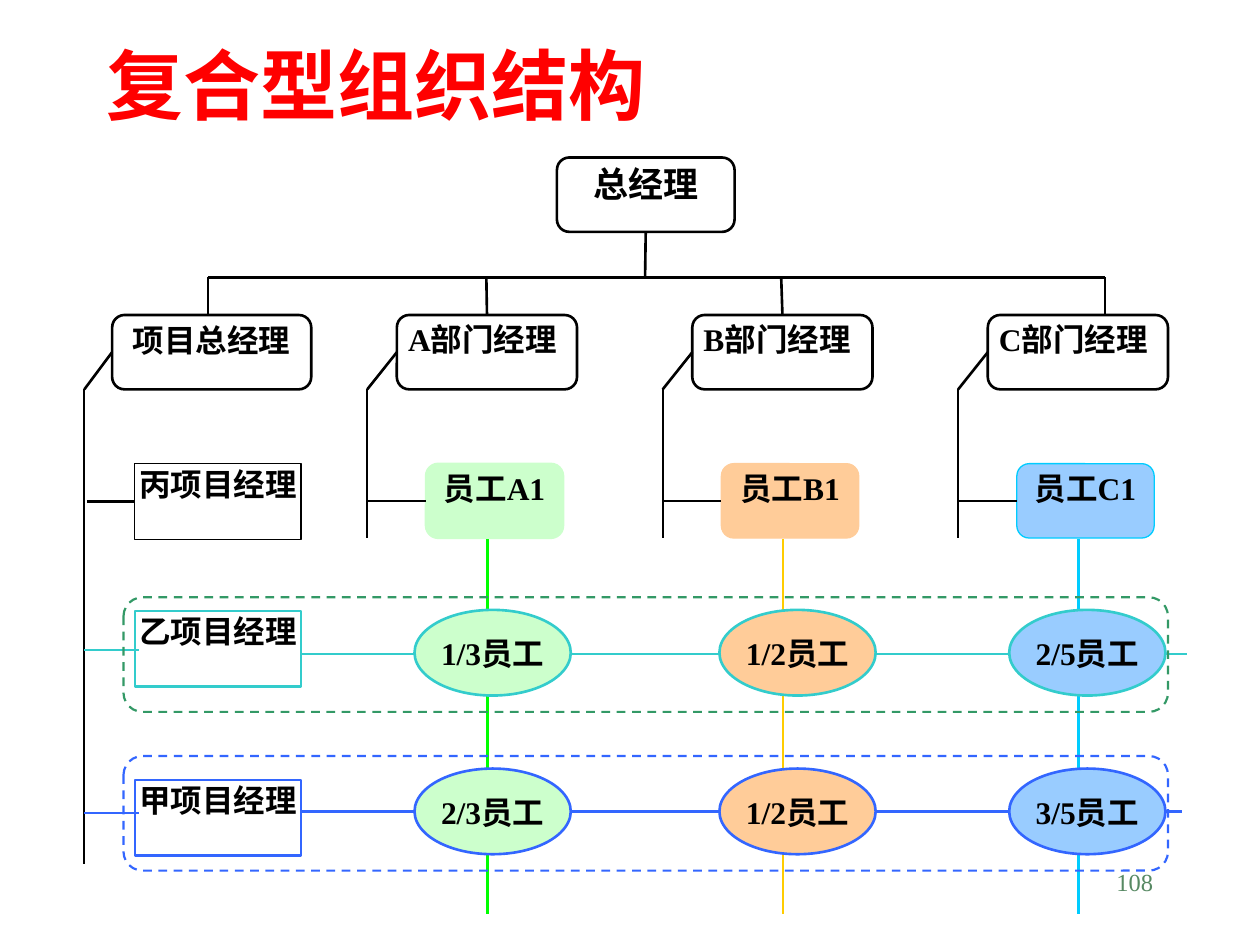
from dataclasses import dataclass

from lxml import etree
from pptx import Presentation
from pptx.dml.color import RGBColor
from pptx.enum.dml import MSO_LINE
from pptx.enum.shapes import MSO_CONNECTOR, MSO_SHAPE
from pptx.enum.text import MSO_ANCHOR, PP_ALIGN
from pptx.oxml.ns import qn
from pptx.util import Inches, Pt

STRAIGHT = MSO_CONNECTOR.STRAIGHT
CARD, RECT = MSO_SHAPE.FLOWCHART_ALTERNATE_PROCESS, MSO_SHAPE.RECTANGLE
OVAL, ROUNDED = MSO_SHAPE.OVAL, MSO_SHAPE.ROUNDED_RECTANGLE
DASH = MSO_LINE.DASH
TOP, MIDDLE = MSO_ANCHOR.TOP, MSO_ANCHOR.MIDDLE
LEFT, CENTER, RIGHT = PP_ALIGN.LEFT, PP_ALIGN.CENTER, PP_ALIGN.RIGHT
JUSTIFY = PP_ALIGN.JUSTIFY
SIDE_TOP, SIDE_LEFT, SIDE_BOTTOM = 0, 1, 2


@dataclass(frozen=True)
class Theme:
    latin: str = "Times New Roman"
    cjk: str = "Noto Sans CJK SC"
    ink: str = "000000"
    paper: str = "FFFFFF"
    title: str = "FF0000"
    number: str = "578963"
    title_size: int = 44
    top_size: int = 20
    body_size: int = 18
    number_size: int = 14
    thin: float = 0.75
    medium: float = 1.25
    thick: float = 1.5


THEME = Theme()

# Content
TITLE = "复合型组织结构"
PAGE_NUMBER = "108"
GENERAL_MANAGER = "总经理"
PROJECT_HEAD = "项目总经理"
DEPARTMENTS = [
    dict(manager="A部门经理", staff="员工A1", fill="CCFFCC", edge="CCFFCC",
         edge_width=THEME.medium, thread="00FF00", riser=3.86, share_x=3.29),
    dict(manager="B部门经理", staff="员工B1", fill="FFCC99", edge="FFCC99",
         edge_width=THEME.thin, thread="FFCC00", riser=6.2, share_x=5.71),
    dict(manager="C部门经理", staff="员工C1", fill="99CCFF", edge="00CCFF",
         edge_width=THEME.thin, thread="00CCFF", riser=8.77, share_x=8.01),
]
IDLE_PROJECT = "丙项目经理"
PROJECTS = [
    dict(manager="乙项目经理", shares=["1/3员工", "1/2员工", "2/5员工"],
         color="33CCCC", frame="339966", top=4.85, frame_top=4.74,
         share_top=4.84, stub_y=5.16, lane_y=5.19, lane_end=9.42),
    dict(manager="甲项目经理", shares=["2/3员工", "1/2员工", "3/5员工"],
         color="3366FF", frame="3366FF", top=6.19, frame_top=6.0,
         share_top=6.1, stub_y=6.45, lane_y=6.44, lane_end=9.38),
]

# Layout in inches
COLUMN_X, COLUMN_STEP = 3.15, 2.345
BUS_Y, HEAD_Y, STAFF_Y = 2.2, 2.5, 3.68
CARD_H, PROJECT_H, PROJECT_W, PROJECT_X = 0.59, 0.6, 1.32, 1.07
PROJECT_SPINE, PROJECT_RISER = 0.67, 1.65
SPINE_TOP = HEAD_Y + CARD_H

prs = Presentation()
prs.slide_width, prs.slide_height = Inches(10), Inches(7.5)
slide = prs.slides.add_slide(prs.slide_layouts[6])


def rgb(value):
    return RGBColor.from_string(value)


def write(holder, text, size=THEME.body_size, color=THEME.ink, bold=True,
          latin=THEME.latin, align=CENTER, anchor=TOP,
          insets=(0.06, 0.01, 0.06, 0.01), wrap=True):
    frame = holder.text_frame
    frame.word_wrap, frame.vertical_anchor = wrap, anchor
    (frame.margin_left, frame.margin_top,
     frame.margin_right, frame.margin_bottom) = map(Inches, insets)
    paragraph = frame.paragraphs[0]
    paragraph.alignment = align
    run = paragraph.add_run()
    run.text = text
    font = run.font
    font.size, font.bold, font.name = Pt(size), bold, latin
    font.color.rgb = rgb(color)
    etree.SubElement(run._r.get_or_add_rPr(), qn("a:ea"), typeface=THEME.cjk)


def add_box(kind, x, y, w, h, line, width, fill=None, dash=None):
    box = slide.shapes.add_shape(kind, *map(Inches, (x, y, w, h)))
    box.shadow.inherit = False
    if fill:
        box.fill.solid()
        box.fill.fore_color.rgb = rgb(fill)
    else:
        box.fill.background()
    box.line.color.rgb, box.line.width = rgb(line), Pt(width)
    if dash:
        box.line.dash_style = dash
    return box


def add_line(x1, y1, x2, y2, color=THEME.ink, width=THEME.medium,
             start=None, end=None):
    line = slide.shapes.add_connector(STRAIGHT, *map(Inches, (x1, y1, x2, y2)))
    line.line.color.rgb, line.line.width = rgb(color), Pt(width)
    etree.SubElement(line._element.spPr, qn("a:effectLst"))
    if start:
        line.begin_connect(*start)
    if end:
        line.end_connect(*end)


def add_manager(text, x, width, **style):
    card = add_box(CARD, x, HEAD_Y, width, CARD_H, THEME.ink, THEME.thick, THEME.paper)
    write(card, text, **style)
    return card


def add_elbow(card, x, spine, bottom):
    """Slanted link from a manager's card to the spine hanging below it."""
    add_line(x, HEAD_Y + CARD_H / 2, spine, SPINE_TOP, width=THEME.thick,
             start=(card, SIDE_LEFT))
    add_line(spine, SPINE_TOP, spine, bottom)


def add_project(text, top, color, width):
    box = add_box(RECT, PROJECT_X, top, PROJECT_W, PROJECT_H, color, width)
    write(box, text, insets=(0.02, 0.01, 0.02, 0.01))
    return box


# Project lanes, behind everything
for project in PROJECTS:
    add_line(PROJECT_X + PROJECT_W, project["lane_y"],
             project["lane_end"], project["lane_y"], project["color"])

# General manager and the bus below
general = add_box(CARD, 4.42, 1.25, 1.41, CARD_H, THEME.ink, THEME.thick, THEME.paper)
write(general, GENERAL_MANAGER, THEME.top_size)
add_line(5.12, 1.84, 5.12, BUS_Y, width=THEME.thick, start=(general, SIDE_BOTTOM))
add_line(PROJECT_RISER, BUS_Y, DEPARTMENTS[-1]["riser"], BUS_Y, width=THEME.thick)

# Departments with their staff and coloured threads
for i, dept in enumerate(DEPARTMENTS):
    x = COLUMN_X + i * COLUMN_STEP
    spine, staff_x, thread_x = x - 0.235, x + 0.23, x + 0.72
    staff_mid = STAFF_Y + CARD_H / 2
    manager = add_manager(dept["manager"], x, 1.43, align=JUSTIFY,
                          insets=(0.06, 0.01, 0.02, 0.01))
    centred = abs(dept["riser"] - (x + 1.43 / 2)) < 0.02
    add_line(dept["riser"], BUS_Y, dept["riser"], HEAD_Y, width=THEME.thick,
             end=(manager, SIDE_TOP) if centred else None)
    add_elbow(manager, x, spine, STAFF_Y + CARD_H)
    staff = add_box(CARD, staff_x, STAFF_Y, 1.09, CARD_H,
                    dept["edge"], dept["edge_width"], dept["fill"])
    write(staff, dept["staff"])
    add_line(spine, staff_mid, staff_x, staff_mid, end=(staff, SIDE_LEFT))
    add_line(thread_x, 4.28, thread_x, 7.25, dept["thread"])

# Project branch
head = add_manager(PROJECT_HEAD, 0.89, 1.58, insets=(0.02, 0.02, 0.02, 0.01))
add_line(PROJECT_RISER, BUS_Y, PROJECT_RISER, HEAD_Y, width=THEME.thick)
add_elbow(head, 0.89, PROJECT_SPINE, 6.86)
idle = add_project(IDLE_PROJECT, STAFF_Y, THEME.ink, THEME.thin)
idle_mid = STAFF_Y + PROJECT_H / 2
add_line(0.69, idle_mid, PROJECT_X, idle_mid, end=(idle, SIDE_LEFT))

# Projects with dashed frames and staff shares
for project in PROJECTS:
    color = project["color"]
    add_project(project["manager"], project["top"], color, THEME.thick)
    add_line(PROJECT_SPINE, project["stub_y"], 1.1, project["stub_y"], color)
    add_box(ROUNDED, 0.98, project["frame_top"], 8.29, 0.91,
            project["frame"], THEME.medium, dash=DASH)
    for dept, share in zip(DEPARTMENTS, project["shares"]):
        oval = add_box(OVAL, dept["share_x"], project["share_top"], 1.24, 0.68,
                       color, THEME.thick, dept["fill"])
        write(oval, share, anchor=MIDDLE, insets=(0, 0, 0, 0), wrap=False)

# Title and page number
PADDING = (0.1, 0.05, 0.1, 0.05)
title = slide.shapes.add_textbox(*map(Inches, (0.75, 0.33, 8.5, 0.67)))
write(title, TITLE, THEME.title_size, THEME.title, latin=THEME.cjk,
      align=LEFT, anchor=MIDDLE, insets=PADDING)
number = slide.shapes.add_textbox(*map(Inches, (7.17, 6.83, 2.08, 0.5)))
write(number, PAGE_NUMBER, THEME.number_size, THEME.number, bold=False,
      align=RIGHT, insets=PADDING)

prs.save("out.pptx")
